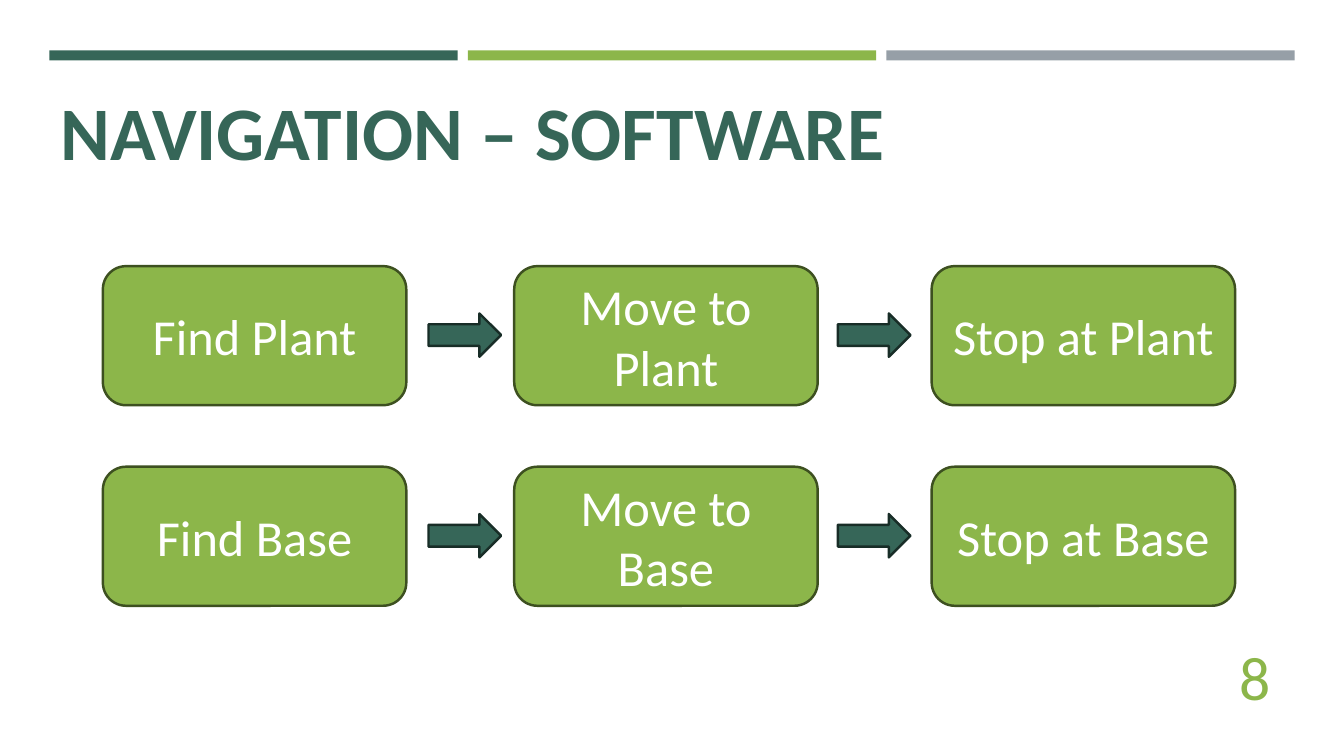
from pptx import Presentation
from pptx.dml.color import RGBColor
from pptx.enum.shapes import MSO_SHAPE
from pptx.enum.text import MSO_ANCHOR, PP_ALIGN
from pptx.util import Inches, Pt

COLORS = {
    "green": "366658",
    "lime": "8CB64A",
    "gray": "969FA7",
    "lime_edge": "3D5020",
    "green_edge": "182D27",
    "white": "FFFFFF",
}


class SlideBuilder:
    font = "Calibri"
    line_width = Pt(1.75)

    def __init__(self, slide):
        self.s = slide

    def color(self, name):
        return RGBColor.from_string(COLORS[name])

    def shape(self, kind, x, y, w, h, fill, edge=None):
        sp = self.s.shapes.add_shape(kind, Inches(x), Inches(y), Inches(w), Inches(h))
        sp.shadow.inherit = False
        sp.fill.solid()
        sp.fill.fore_color.rgb = self.color(fill)
        if edge:
            sp.line.color.rgb = self.color(edge)
            sp.line.width = self.line_width
        else:
            sp.line.fill.background()
        return sp

    def label(self, sp, text, size, color, align, anchor, bold=False):
        tf = sp.text_frame
        tf.word_wrap = True
        tf.vertical_anchor = anchor
        p = tf.paragraphs[0]
        p.alignment = align
        r = p.add_run()
        r.text = text
        r.font.name = self.font
        r.font.size = Pt(size)
        r.font.bold = bold
        r.font.color.rgb = self.color(color)

    def text(self, x, y, w, h, *style, **options):
        sp = self.s.shapes.add_textbox(Inches(x), Inches(y), Inches(w), Inches(h))
        self.label(sp, *style, **options)

    def bar(self, x, fill):
        self.shape(MSO_SHAPE.RECTANGLE, x, 0.5, 4.05, 0.1, fill)

    def step(self, x, y, name):
        sp = self.shape(MSO_SHAPE.ROUNDED_RECTANGLE, x, y, 3.01, 1.38, "lime", "lime_edge")
        self.label(sp, name, 36, "white", PP_ALIGN.CENTER, MSO_ANCHOR.MIDDLE)

    def arrow(self, x, y):
        self.shape(MSO_SHAPE.RIGHT_ARROW, x, y, 0.72, 0.43, "green", "green_edge")


def main():
    prs = Presentation()
    prs.slide_width, prs.slide_height = Inches(13.33), Inches(7.5)
    b = SlideBuilder(prs.slides.add_slide(prs.slide_layouts[6]))

    # Top bars
    for i, fill in enumerate(("green", "lime", "gray")):
        b.bar(0.49 + 4.15 * i, fill)

    # Title and slide number
    b.text(0.5, 0.79, 12.34, 1.01, "NAVIGATION – SOFTWARE", 54, "green",
           PP_ALIGN.LEFT, MSO_ANCHOR.TOP, bold=True)
    b.text(11.55, 6.51, 1.15, 0.4, "8", 44, "lime", PP_ALIGN.RIGHT, MSO_ANCHOR.MIDDLE)

    # One row of steps and arrows for each destination
    rows = (
        (2.64, ("Find Plant", "Move to Plant", "Stop at Plant ")),
        (4.63, ("Find Base", "Move to Base", "Stop at Base")),
    )
    for y, names in rows:
        for x, name in zip((1.02, 5.1, 9.24), names):
            b.step(x, y, name)
        for x in (4.25, 8.31):
            b.arrow(x, y + 0.47)

    prs.save("out.pptx")


if __name__ == "__main__":
    main()
